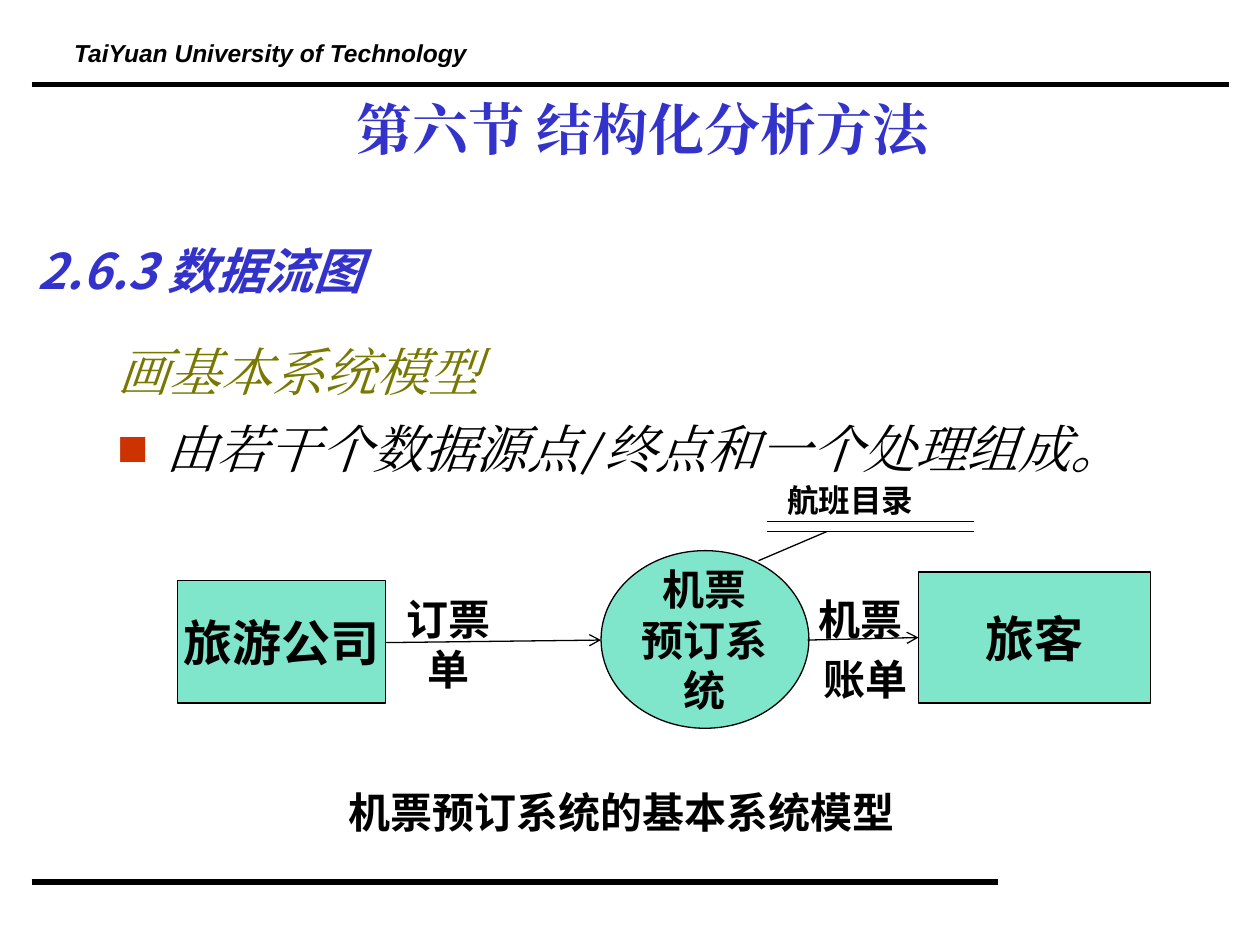
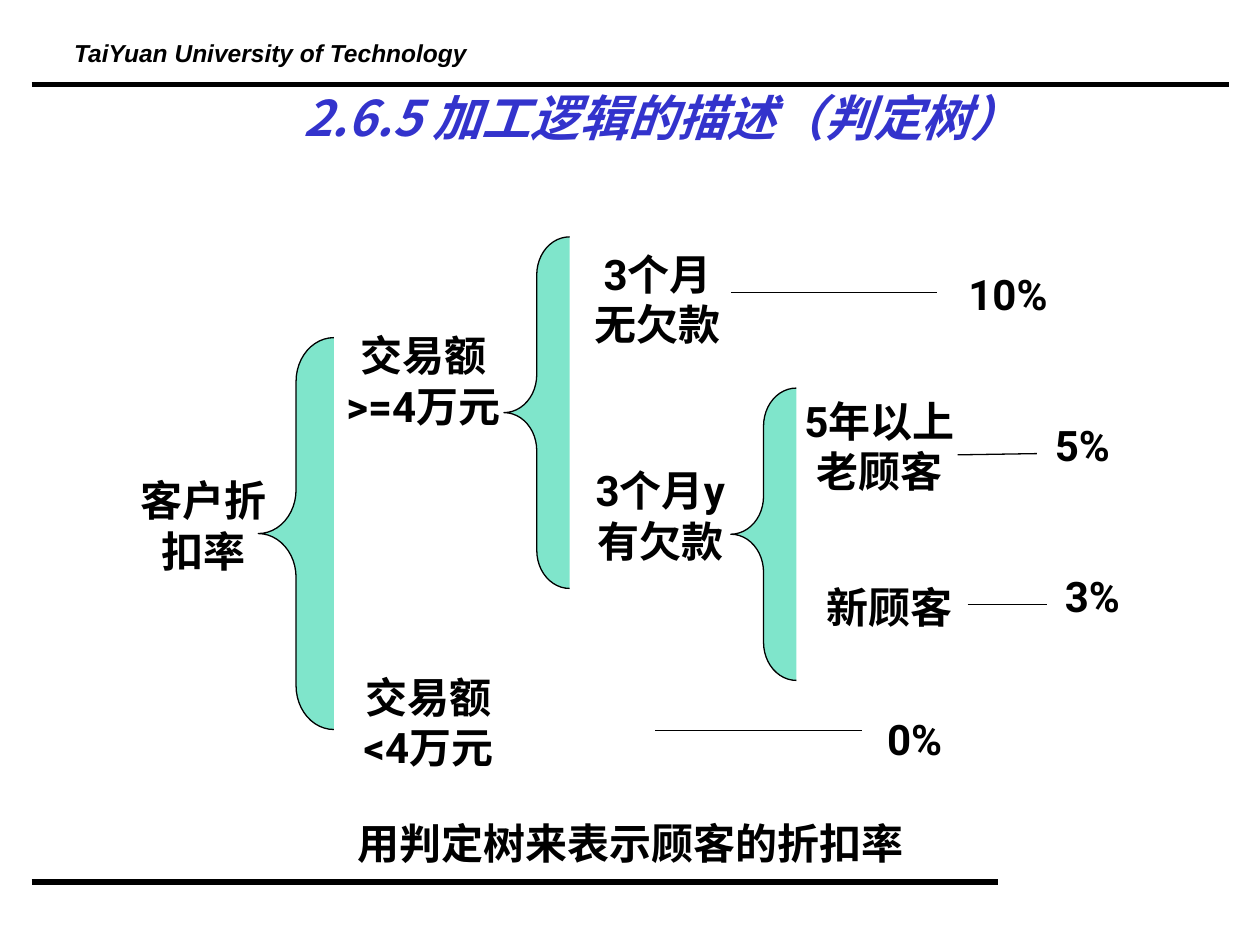
from pptx import Presentation
from pptx.dml.color import RGBColor
from pptx.enum.shapes import MSO_CONNECTOR, MSO_SHAPE
from pptx.enum.text import MSO_ANCHOR, MSO_AUTO_SIZE, PP_ALIGN
from pptx.oxml.ns import qn
from pptx.util import Inches, Pt
from lxml import etree

# Colours, fonts and enum members
BLACK = RGBColor(0x00, 0x00, 0x00)
BLUE = RGBColor(0x33, 0x33, 0xCC)
OLIVE = RGBColor(0x78, 0x78, 0x00)
RED = RGBColor(0xCC, 0x33, 0x00)
GREEN = RGBColor(0x00, 0xCC, 0x99)
LABEL_FONT, SERIF_FONT, HEADING_FONT = "Roboto", "Cambria", "Noto Sans CJK SC"
HEADER_FONT = "Arial"
LEFT, CENTER = PP_ALIGN.LEFT, PP_ALIGN.CENTER
TOP, MIDDLE = MSO_ANCHOR.TOP, MSO_ANCHOR.MIDDLE
RECTANGLE, OVAL, BRACE = MSO_SHAPE.RECTANGLE, MSO_SHAPE.OVAL, MSO_SHAPE.LEFT_BRACE
STRAIGHT = MSO_CONNECTOR.STRAIGHT
NO_RESIZE = MSO_AUTO_SIZE.NONE
TITLE_AND_CONTENT, TITLE_ONLY = 1, 5


def write(para, text, size=24, font=LABEL_FONT, color=BLACK, bold=True,
          italic=False, align=CENTER):
    """Write text in a paragraph with its whole format."""
    para.alignment = align
    span = para.add_run()
    span.text = text
    span.font.size = Pt(size)
    span.font.name = font
    span.font.color.rgb = color
    span.font.bold = bold
    span.font.italic = italic
    latin = span.font._element.find(qn("a:latin"))
    east_asian = etree.Element(qn("a:ea"), typeface=font)
    latin.addnext(east_asian)


def place(shape, left, top, width, height):
    shape.left, shape.top = Inches(left), Inches(top)
    shape.width, shape.height = Inches(width), Inches(height)


def set_frame(shape, anchor, margins=(0.1, 0.05), wrap=True):
    """Set the anchor, margins and wrapping of a shape's text."""
    frame = shape.text_frame
    frame.auto_size = NO_RESIZE
    frame.word_wrap = wrap
    frame.vertical_anchor = anchor
    frame.margin_left = frame.margin_right = Inches(margins[0])
    frame.margin_top = frame.margin_bottom = Inches(margins[1])
    return frame


class Lecture:
    """Holds the deck, its shared style and the current page."""

    def __init__(self):
        self.deck = Presentation()
        self.deck.slide_width, self.deck.slide_height = Inches(10), Inches(7.5)
        self.page = None

    def new_page(self, layout):
        self.page = self.deck.slides.add_slide(self.deck.slide_layouts[layout])
        self.line((0.25, 7), (7.92, 7), width=3)
        self.line((0.25, 0.67), (9.75, 0.67), width=3)
        header = self.text("TaiYuan University of Technology", 0.49, 0.32, 3.34, 0.27,
                           wrap=False, size=14, font=HEADER_FONT, italic=True, align=LEFT)
        header.text_frame.paragraphs[0].line_spacing = 0.7

    def title(self, text, left, top, width, height, anchor=MIDDLE, **style):
        title = self.page.shapes.title
        place(title, left, top, width, height)
        write(set_frame(title, anchor).paragraphs[0], text, color=BLUE, **style)

    def body(self, items, left, top, width, height):
        """Fill the body with (text, colour, bulleted) items."""
        body = self.page.placeholders[1]
        place(body, left, top, width, height)
        frame = set_frame(body, TOP)
        for index, (text, color, bulleted) in enumerate(items):
            para = frame.add_paragraph() if index else frame.paragraphs[0]
            para.space_before = Pt(8 if index else 0)
            properties = para._p.get_or_add_pPr()
            properties.set("marL", str(Inches(0.38)))
            properties.set("indent", str(-Inches(0.38)))
            if bulleted:
                bullet_color = etree.SubElement(properties, qn("a:buClr"))
                etree.SubElement(bullet_color, qn("a:srgbClr"), val=str(RED))
                etree.SubElement(properties, qn("a:buChar"), char="■")
            else:
                etree.SubElement(properties, qn("a:buNone"))
            write(para, text, size=29.6, font=SERIF_FONT, color=color,
                  bold=False, italic=True, align=LEFT)

    def text(self, text, left, top, width, height=0.5, anchor=TOP, wrap=True, **style):
        box = self.page.shapes.add_textbox(
            Inches(left), Inches(top), Inches(width), Inches(height))
        write(set_frame(box, anchor, wrap=wrap).paragraphs[0], text, **style)
        return box

    def shape(self, kind, left, top, width, height, lines=(), size=24):
        """Add a half-transparent green shape with one paragraph per line."""
        shape = self.page.shapes.add_shape(
            kind, Inches(left), Inches(top), Inches(width), Inches(height))
        shape.shadow.inherit = False
        shape.fill.solid()
        shape.fill.fore_color.rgb = GREEN
        color = shape._element.spPr.find(qn("a:solidFill"))[0]
        etree.SubElement(color, qn("a:alpha"), val="50000")
        shape.line.color.rgb = BLACK
        shape.line.width = Pt(0.75)
        frame = set_frame(shape, MIDDLE, margins=(0, 0))
        for index, text in enumerate(lines):
            para = frame.add_paragraph() if index else frame.paragraphs[0]
            write(para, text, size=size)
        return shape

    def brace(self, left, top, width, height):
        brace = self.shape(BRACE, left, top, width, height)
        brace.adjustments[0] = 0.58

    def line(self, start, end, width=0.75, arrow=False):
        line = self.page.shapes.add_connector(
            STRAIGHT, *(Inches(value) for value in (*start, *end)))
        line.line.color.rgb = BLACK
        line.line.width = Pt(width)
        if arrow:
            etree.SubElement(line.line._get_or_add_ln(), qn("a:tailEnd"), type="arrow")
        etree.SubElement(line._element.spPr, qn("a:effectLst"))


def add_data_flow_page(lecture):
    lecture.new_page(TITLE_AND_CONTENT)
    lecture.title("第六节 结构化分析方法", 0.63, 0.7, 8.94, 0.86, anchor=TOP,
                  size=32, font=SERIF_FONT)
    lecture.body([("画基本系统模型", OLIVE, False),
                  ("由若干个数据源点/终点和一个处理组成。", BLACK, True)],
                 0.83, 2.65, 8.81, 1.45)
    lecture.text("2.6.3 数据流图", 0.2, 1.78, 3.39, 0.72, anchor=MIDDLE, size=28,
                 font=HEADING_FONT, color=BLUE, italic=True, align=LEFT)

    # Source, process and destination
    lecture.shape(RECTANGLE, 1.41, 4.61, 1.65, 0.97, ["旅游公司"], size=28)
    lecture.shape(RECTANGLE, 7.29, 4.54, 1.84, 1.04, ["旅客"], size=28)
    lecture.shape(OVAL, 4.77, 4.37, 1.65, 1.41, ["机票", "预订系统"])

    # Data flows
    lecture.line((3.06, 5.1), (4.77, 5.08), arrow=True)
    lecture.line((6.41, 5.08), (7.29, 5.06), arrow=True)
    lecture.text("订票单", 3.02, 4.66, 1.08, 0.9)
    lecture.text("机票", 6.29, 4.66, 1.08)
    lecture.text("账单", 6.33, 5.14, 1.08)

    # Data store
    for y in (4.14, 4.22):
        lecture.line((6.09, y), (7.73, y))
    lecture.line((6.02, 4.45), (6.56, 4.22))
    lecture.text("航班目录", 6.15, 3.77, 1.56, 0.4, size=18, align=LEFT)
    lecture.text("机票预订系统的基本系统模型", 2.64, 6.19, 4.59)


def add_decision_tree_page(lecture):
    lecture.new_page(TITLE_ONLY)
    lecture.title("2.6.5 加工逻辑的描述（判定树）", 1, 0.3, 8.5, 1.25,
                  size=28, font=HEADING_FONT, italic=True)

    # Branches
    for brace in ((2.05, 2.68, 0.6, 3.11), (4, 1.88, 0.52, 2.79), (5.8, 3.08, 0.52, 2.32)):
        lecture.brace(*brace)

    # Conditions
    for text, left, top, width, height in (
            ("客户折扣率", 1.01, 3.72, 1.21, 0.9),
            ("交易额>=4万元", 2.6, 2.57, 1.52, 0.9),
            ("交易额<4万元", 2.68, 5.28, 1.44, 0.9),
            ("3个月无欠款", 4.56, 1.92, 1.32, 0.9),
            ("3个月y有欠款", 4.6, 3.64, 1.28, 1.3),
            ("5年以上老顾客", 6.24, 3.09, 1.48, 0.9),
            ("新顾客", 6.32, 4.57, 1.48, 0.5)):
        lecture.text(text, left, top, width, height)

    # Discounts, each at the end of its line
    for text, start, end, left, top, width in (
            ("10%", (5.8, 2.32), (7.44, 2.32), 7.48, 2.08, 1.04),
            ("5%", (7.6, 3.61), (8.23, 3.6), 8.19, 3.28, 0.8),
            ("3%", (7.68, 4.8), (8.31, 4.8), 8.27, 4.48, 0.8),
            ("0%", (5.2, 5.8), (6.84, 5.8), 6.88, 5.61, 0.76)):
        lecture.line(start, end)
        lecture.text(text, left, top, width)

    lecture.text("用判定树来表示顾客的折扣率", 2.6, 6.44, 4.81)


def main():
    lecture = Lecture()
    add_data_flow_page(lecture)
    add_decision_tree_page(lecture)
    lecture.deck.save("out.pptx")


if __name__ == "__main__":
    main()
